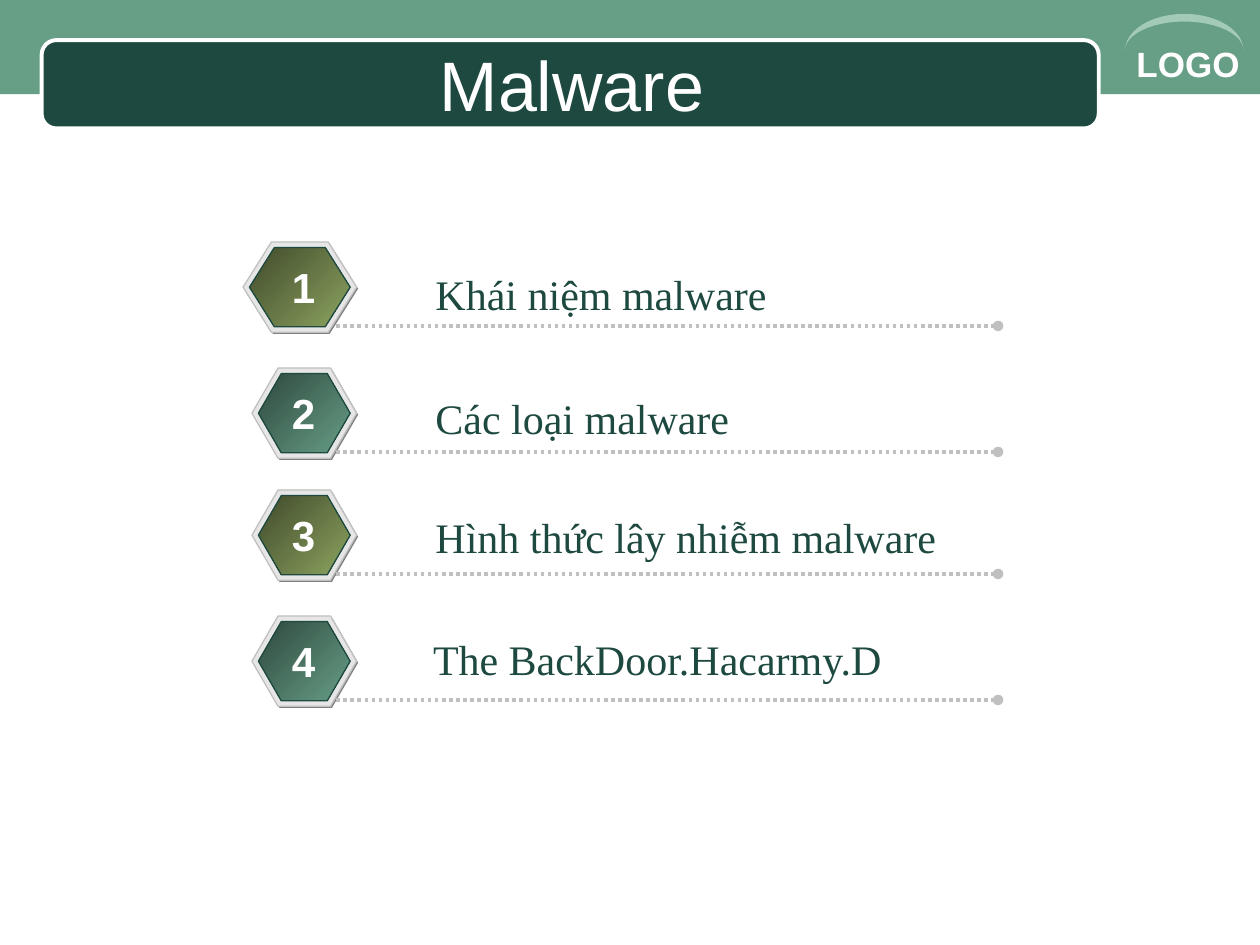
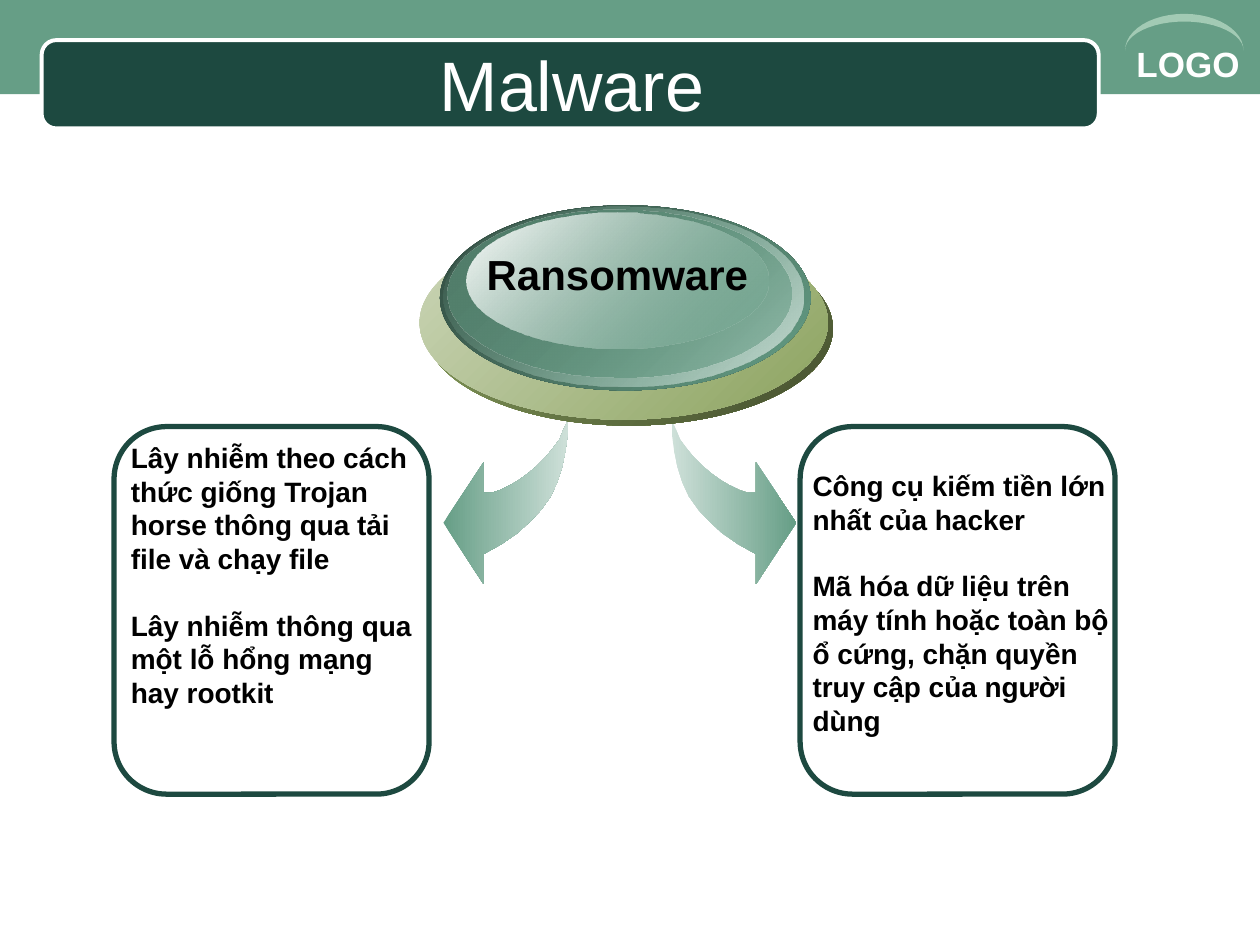
import math

from lxml import etree
from pptx import Presentation
from pptx import util as u
from pptx.dml.color import RGBColor
from pptx.enum import dml, shapes, text
from pptx.oxml.ns import qn

COLORS = {
    "white": "FFFFFF", "black": "000000", "band": "669E86", "pine": "1D4940",
    "swoosh": "A2CAB4", "shade": "808080", "rim": "E6E6E6", "silver": "C0C0C0",
    "moss": "414B2C", "olive": "8CA35F", "spruce": "2F493E", "bark": "444F2E",
    "pale olive": "CCD6B8", "mint": "CADDD5", "sage": "517D6A", "mist": "CEE0D9",
}
SANS, SERIF = "Arial", "Times New Roman"
FORM = shapes.MSO_SHAPE

# Half of a pair of mirrored arrows, in cm from its top left corner.
ARROW = [
    (2.51, 0), (2.51, 0.38), (2.46, 0.76), (2.39, 1.09), (2.29, 1.4), (2.16, 1.68),
    (1.96, 1.96), (1.75, 2.18), (1.5, 2.41), (1.17, 2.64), (0.81, 2.84), (0.81, 3.45),
    (0, 2.21), (0.81, 0.99), (0.81, 1.6), (0.99, 1.6), (1.14, 1.55), (1.35, 1.45),
    (1.52, 1.35), (1.7, 1.22), (1.88, 1.07), (2.06, 0.89), (2.21, 0.71), (2.34, 0.53),
    (2.41, 0.36), (2.49, 0.18),
]
ARROW_WIDTH = 2.51

# Left, top, width, height within the medallion, then gradient ends and their opacity.
RINGS = [
    (0.1, 0.53, 8.23, 3.91, ("olive", "bark"), (100, 100)),
    (0, 0.41, 8.23, 3.91, ("pale olive", "olive"), (100, 100)),
    (0.41, 0, 7.47, 3.73, ("spruce", "band"), (100, 100)),
    (0.48, 0.03, 7.26, 3.63, ("band", "mint"), (0, 100)),
    (0.56, 0.08, 6.93, 3.4, ("sage", "band"), (100, 48)),
    (0.94, 0.15, 6.1, 2.74, ("white", "band"), (100, 38)),
]

# Label, row top, label left and label drop below the row top, in cm.
TOPICS = [
    ("Khái niệm malware", 4.88, 8.53, 0.41),
    ("Các loại malware", 7.42, 8.53, 0.36),
    ("Hình thức lây nhiễm malware", 9.88, 8.53, 0.3),
    ("The BackDoor.Hacarmy.D", 12.42, 8.48, 0.23),
]


def rgb(name):
    return RGBColor.from_string(COLORS[name])


def paint(shape, fill=None, line=None, weight=0.75, angle=45, opacity=(100, 100)):
    """Fill with one colour name or a pair (gradient, angle clockwise); outline if given."""
    shape.shadow.inherit = False
    if fill is None:
        shape.fill.background()
    elif isinstance(fill, str):
        shape.fill.solid()
        shape.fill.fore_color.rgb = rgb(fill)
    else:
        shape.fill.gradient()
        shape.fill.gradient_angle = (360 - angle) % 360
        for stop, name in zip(shape.fill.gradient_stops, fill):
            stop.color.rgb = rgb(name)
        ends = shape.element.spPr.find(qn("a:gradFill")).findall(".//" + qn("a:srgbClr"))
        for end, percent in zip(ends, opacity):
            if percent < 100:
                etree.SubElement(end, qn("a:alpha")).set("val", str(percent * 1000))
    if line:
        shape.line.color.rgb = rgb(line)
        shape.line.width = u.Pt(weight)
    else:
        shape.line.fill.background()


def preset(slide, form, left, top, width, height, adjust=None, **look):
    shape = slide.shapes.add_shape(form, *map(u.Cm, (left, top, width, height)))
    if adjust is not None:
        shape.adjustments[0] = adjust
    paint(shape, **look)


def outline(slide, points, **look):
    start, *rest = [(u.Cm(x), u.Cm(y)) for x, y in points]
    builder = slide.shapes.build_freeform(*start)
    builder.add_line_segments(rest, close=True)
    paint(builder.convert_to_shape(), **look)


def write(slide, left, top, width, height, paragraphs, size, color, font=SANS,
          bold=False, align=text.PP_ALIGN.LEFT, anchor=text.MSO_ANCHOR.TOP, gap=0):
    frame = slide.shapes.add_textbox(*map(u.Cm, (left, top, width, height))).text_frame
    frame.word_wrap = True
    frame.vertical_anchor = anchor
    for index, words in enumerate(paragraphs):
        paragraph = frame.add_paragraph() if index else frame.paragraphs[0]
        paragraph.alignment = align
        if index:
            paragraph.space_before = u.Pt(gap)
        run = paragraph.add_run()
        run.text = words
        run.font.name, run.font.size, run.font.bold = font, u.Pt(size), bold
        run.font.color.rgb = rgb(color)


def swoosh(slide, left, top, width, height):
    """Crescent between two half ellipses that share their ends."""
    steps, radius = 24, width / 2

    def arc(rise):
        return [(left + radius * (1 - math.cos(math.pi * i / steps)),
                 top + height - rise * math.sin(math.pi * i / steps))
                for i in range(steps + 1)]

    outline(slide, arc(height) + arc(0.79 * height)[-2:0:-1], fill="swoosh")


def header(slide, title):
    preset(slide, FORM.RECTANGLE, 0, 0, 25.4, 1.9, fill="band")
    preset(slide, FORM.ROUNDED_RECTANGLE, 0.84, 0.81, 21.31, 1.78,
           fill="pine", line="white", weight=2.25)
    write(slide, 22.66, 0.74, 2.74, 1.12, ["LOGO"], 20, "white", bold=True)
    swoosh(slide, 22.68, 0.28, 2.39, 0.74)
    write(slide, 1.27, 0.89, 20.52, 1.57, [title], 40, "white",
          align=text.PP_ALIGN.CENTER, anchor=text.MSO_ANCHOR.MIDDLE)


def badge(slide, left, top, width, adjust, fill):
    for dx, dy, shrink, height, look in (
        (0.03, 0.03, 0, 1.82, {"fill": "shade"}),
        (0, 0, 0, 1.82, {"fill": "rim", "line": "silver"}),
        (0.13, 0.11, 0.26, 1.6, {"fill": fill, "line": "pine"}),
    ):
        preset(slide, FORM.HEXAGON, left + dx, top + dy, width - shrink, height,
               adjust, **look)


def dotted_rule(slide, left, right, y):
    rule = slide.shapes.add_connector(shapes.MSO_CONNECTOR.STRAIGHT,
                                      *map(u.Cm, (left, y, right, y)))
    rule.line.color.rgb = rgb("silver")
    rule.line.width = u.Pt(2)
    rule.line.dash_style = dml.MSO_LINE.ROUND_DOT
    properties = rule.element.spPr
    etree.SubElement(properties.find(qn("a:ln")), qn("a:tailEnd")).set("type", "oval")
    etree.SubElement(properties, qn("a:effectLst"))


def topic_row(slide, number, label, top, label_left, label_drop):
    right = 7.19
    width, adjust = (2.29, 0.314) if number == 1 else (2.11, 0.289)
    fill = ("moss", "olive") if number % 2 else ("spruce", "band")
    badge(slide, right - width, top, width, adjust, fill)
    dotted_rule(slide, 6.78, 20.12, top + 1.69)
    write(slide, 4.85, top + 0.26, 2.54, 1.27, [str(number)], 24, "white",
          bold=True, align=text.PP_ALIGN.CENTER)
    write(slide, label_left, top + label_drop, 11.5, 1.27, [label], 24, "pine", SERIF)


def medallion(slide, left, top, label):
    for dx, dy, width, height, fill, opacity in RINGS:
        preset(slide, FORM.OVAL, left + dx, top + dy, width, height,
               fill=fill, opacity=opacity)
    write(slide, left + 0.81, top + 0.74, 6.35, 1.27, [label], 24, "black",
          bold=True, align=text.PP_ALIGN.CENTER)


def curved_arrow(slide, left, top, to_right=False):
    points = [(left + (ARROW_WIDTH - x if to_right else x), top + y) for x, y in ARROW]
    fill = ("mist", "band") if to_right else ("band", "mist")
    outline(slide, points, fill=fill, angle=0)


def fact_card(slide, left, top, text_dx, text_dy, text_width, facts):
    preset(slide, FORM.ROUNDED_RECTANGLE, left, top, 6.35, 7.41, line="pine", weight=3)
    write(slide, left + text_dx, top + text_dy, text_width, 6.5, facts, 16, "black",
          bold=True, gap=19)


def contents_slide(slide):
    header(slide, "Malware")
    for number, topic in enumerate(TOPICS, 1):
        topic_row(slide, number, *topic)


def ransomware_slide(slide):
    header(slide, "Malware")
    fact_card(slide, 16.13, 8.6, 0, 0.72, 6.5, [
        "Công cụ kiếm tiền lớn nhất của hacker",
        "Mã hóa dữ liệu trên máy tính hoặc toàn bộ ổ cứng, chặn quyền truy cập "
        "của người dùng",
    ])
    fact_card(slide, 2.3, 8.6, 0.09, 0.16, 6.35, [
        "Lây nhiễm theo cách thức giống Trojan horse thông qua tải file và chạy file",
        "Lây nhiễm thông qua một lỗ hổng mạng hay rootkit",
    ])
    curved_arrow(slide, 8.94, 8.33)
    curved_arrow(slide, 13.54, 8.33, to_right=True)
    medallion(slide, 8.46, 4.14, "Ransomware")


def main():
    deck = Presentation()
    deck.slide_width, deck.slide_height = u.Cm(25.4), u.Cm(19.05)
    for build in (contents_slide, ransomware_slide):
        build(deck.slides.add_slide(deck.slide_layouts[6]))
    deck.save("out.pptx")


if __name__ == "__main__":
    main()
